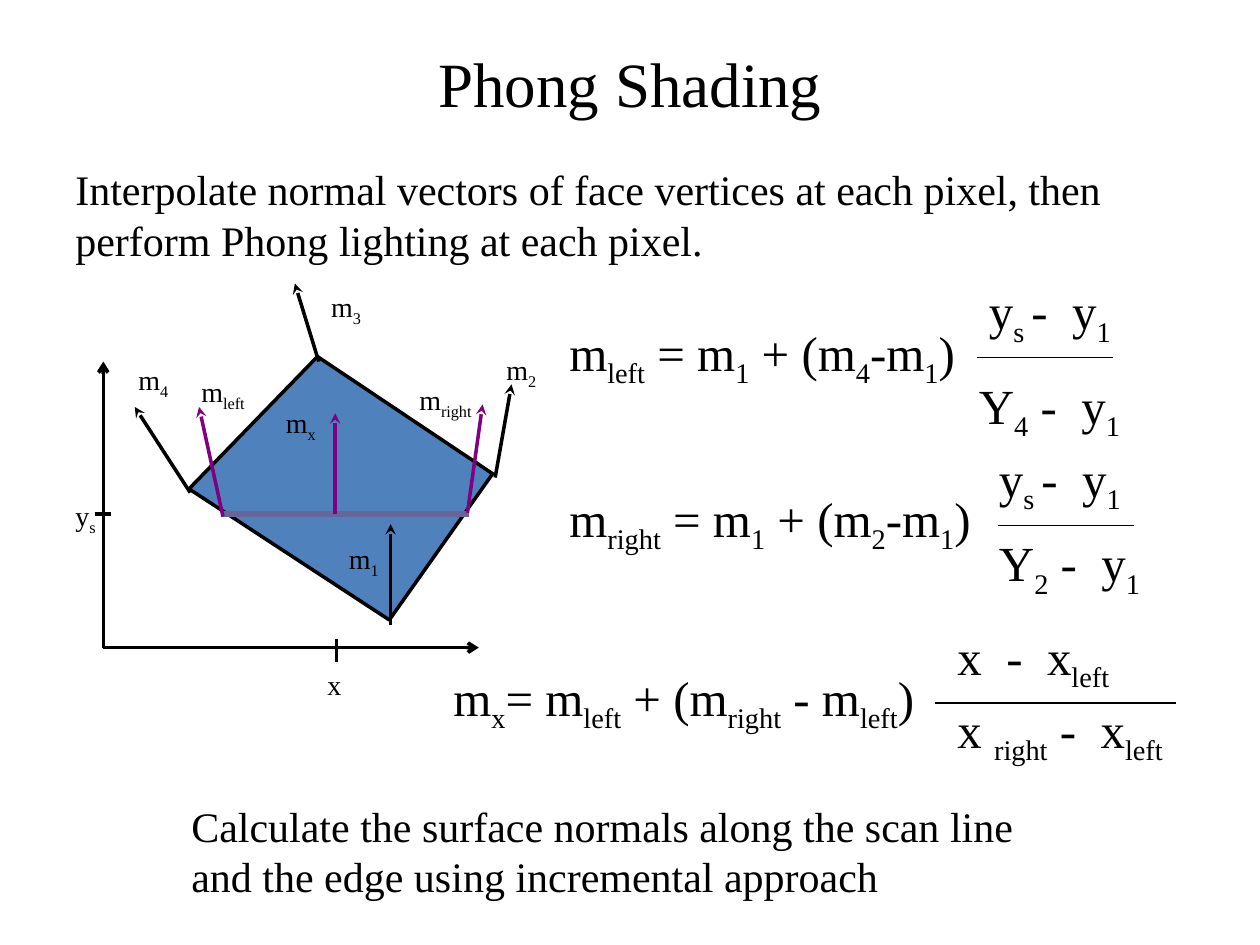
from dataclasses import dataclass

from lxml import etree
from pptx import Presentation
from pptx import util as u
from pptx.dml.color import RGBColor
from pptx.enum import shapes, text
from pptx.oxml.ns import qn


@dataclass(frozen=True)
class Theme:
    font: str = "Times New Roman"
    ink: str = "000000"
    face: str = "4F81BD"
    scan: str = "666699"
    normal: str = "800080"
    title: int = 36
    formula: int = 28
    body: int = 24
    label: int = 16
    rule: float = 0.75
    stroke: float = 2
    thick: float = 3


class SlideBuilder:
    """Hold the theme and the current slide, and draw each kind of element."""

    def __init__(self, slide, theme):
        self.slide = slide
        self.theme = theme

    def fill_text(self, shape, content, size, **frame_format):
        frame = shape.text_frame
        settings = {"word_wrap": True, "vertical_anchor": text.MSO_ANCHOR.TOP, **frame_format}
        for name, value in settings.items():
            setattr(frame, name, value)
        paragraph = frame.paragraphs[0]
        for index, part in enumerate(content.split("~")):
            if not part:
                continue
            run = paragraph.add_run()
            run.text = part
            for name, value in {"name": self.theme.font, "size": u.Pt(size)}.items():
                setattr(run.font, name, value)
            run.font.color.rgb = RGBColor.from_string(self.theme.ink)
            if index % 2:
                run.font._element.set("baseline", "-25000")
        return paragraph

    def title(self, content, left, top, width, height):
        shape = self.slide.shapes.title
        box = {"left": left, "top": top, "width": width, "height": height}
        for name, value in box.items():
            setattr(shape, name, u.Inches(value))
        paragraph = self.fill_text(shape, content, self.theme.title,
                                   vertical_anchor=text.MSO_ANCHOR.MIDDLE)
        paragraph.alignment = text.PP_ALIGN.CENTER

    def text(self, content, left, top, width, height, size, **frame_format):
        box = [u.Inches(value) for value in (left, top, width, height)]
        shape = self.slide.shapes.add_textbox(*box)
        self.fill_text(shape, content, size, **frame_format)

    def label(self, content, left, top, width):
        self.text(content, left, top, width, 0.37, self.theme.label)

    def formula(self, content, left, top, width):
        self.text(content, left, top, width, 0.57, self.theme.formula)

    def line(self, start, end, color=None, width=None, head=None):
        ends = [u.Inches(value) for value in (*start, *end)]
        connector = self.slide.shapes.add_connector(shapes.MSO_CONNECTOR.STRAIGHT, *ends)
        connector.line.color.rgb = RGBColor.from_string(color or self.theme.ink)
        connector.line.width = u.Pt(width or self.theme.stroke)
        properties = connector._element.spPr
        if head:
            outline = properties.find(qn("a:ln"))
            etree.SubElement(outline, qn("a:tailEnd"), type=head)
        etree.SubElement(properties, qn("a:effectLst"))

    def polygon(self, points):
        corners = [(u.Inches(x), u.Inches(y)) for x, y in points]
        builder = self.slide.shapes.build_freeform(*corners[0])
        builder.add_line_segments(corners[1:], close=True)
        shape = builder.convert_to_shape()
        shape.shadow.inherit = False
        shape.fill.solid()
        shape.fill.fore_color.rgb = RGBColor.from_string(self.theme.face)
        shape.line.color.rgb = RGBColor.from_string(self.theme.ink)
        shape.line.width = u.Pt(self.theme.stroke)


FACE = [(1.5, 3.88), (2.52, 2.83), (3.91, 3.76), (3.09, 4.92)]
ORIGIN = (0.82, 5.14)
AXIS_ENDS = [(0.82, 2.87), (3.8, 5.14)]
VERTEX_NORMALS = [
    ((1.51, 3.91), (1.07, 3.23)),
    ((2.53, 2.87), (2.34, 2.25)),
    ((3.93, 3.79), (4.06, 3.05)),
    ((3.1, 4.96), (3.1, 4.16)),
]
SCAN_NORMALS = [
    ((1.77, 4.1), (1.58, 3.23)),
    ((3.71, 4.07), (3.83, 3.21)),
    ((2.66, 4.08), (2.66, 3.28)),
]
TICKS = [((2.67, 5.07), (2.67, 5.25)), ((0.75, 4.08), (0.88, 4.08))]
LABELS = [
    ("x", 2.5, 5.25, 0.75),
    ("y~s~", 0.5, 3.91, 0.44),
    ("m~1~", 2.67, 4.25, 1),
    ("m~2~", 3.92, 2.75, 0.71),
    ("m~3~", 2.53, 2.25, 0.88),
    ("m~4~", 1, 2.83, 0.74),
    ("m~left~", 1.5, 2.92, 0.75),
    ("m~right~", 3.23, 2.99, 0.93),
    ("m~x~", 2.17, 3.17, 0.68),
]
FORMULAS = [
    ("m~left~ = m~1~ + (m~4~-m~1~)", 4.42, 2.51, 3.5),
    ("y~s ~-  y~1~", 7.75, 2.18, 1.33),
    ("Y~4~ -  y~1~", 7.67, 2.93, 1.42),
    ("m~right~ = m~1~ + (m~2~-m~1~)", 4.42, 3.83, 3.75),
    ("y~s ~-  y~1~", 7.83, 3.51, 1.33),
    ("Y~2~ -  y~1~", 7.83, 4.18, 1.42),
    ("m~x~= m~left~ + (m~right~ - m~left~)", 3.5, 5.25, 4.17),
    ("x  -  x~left~", 7.5, 4.92, 2.17),
    ("x ~right~ -  x~left~", 7.5, 5.5, 2.25),
]
FRACTION_BARS = [(7.75, 8.83, 2.84), (7.92, 9, 4.17), (7.42, 9.33, 5.58)]


def draw_diagram(builder):
    theme = builder.theme
    for end in AXIS_ENDS:
        builder.line(ORIGIN, end, head="arrow")
    builder.polygon(FACE)
    for start, end in VERTEX_NORMALS:
        builder.line(start, end, head="stealth")
    builder.line((1.76, 4.08), (3.72, 4.08), theme.scan, theme.thick)
    for start, end in TICKS:
        builder.line(start, end)
    for start, end in SCAN_NORMALS:
        builder.line(start, end, theme.normal, head="stealth")
    for label in LABELS:
        builder.label(*label)


def draw_formulas(builder):
    for formula in FORMULAS:
        builder.formula(*formula)
    for left, right, y in FRACTION_BARS:
        builder.line((left, y), (right, y), width=builder.theme.rule)


def main():
    presentation = Presentation()
    presentation.slide_width = u.Inches(10)
    presentation.slide_height = u.Inches(7.5)
    slide = presentation.slides.add_slide(presentation.slide_layouts.get_by_name("Title Only"))
    builder = SlideBuilder(slide, Theme())
    builder.title("Phong Shading", 0.5, 0.3, 9, 0.7)
    builder.text("Interpolate normal vectors of face vertices at each pixel, "
                 "then perform Phong lighting at each pixel.",
                 0.5, 1.25, 8.67, 0.91, builder.theme.body)
    draw_diagram(builder)
    draw_formulas(builder)
    builder.text("Calculate the surface normals along the scan line "
                 "and the edge using incremental approach",
                 1.42, 6.25, 7.25, 1, builder.theme.body,
                 vertical_anchor=text.MSO_ANCHOR.MIDDLE)
    presentation.save("out.pptx")


if __name__ == "__main__":
    main()
